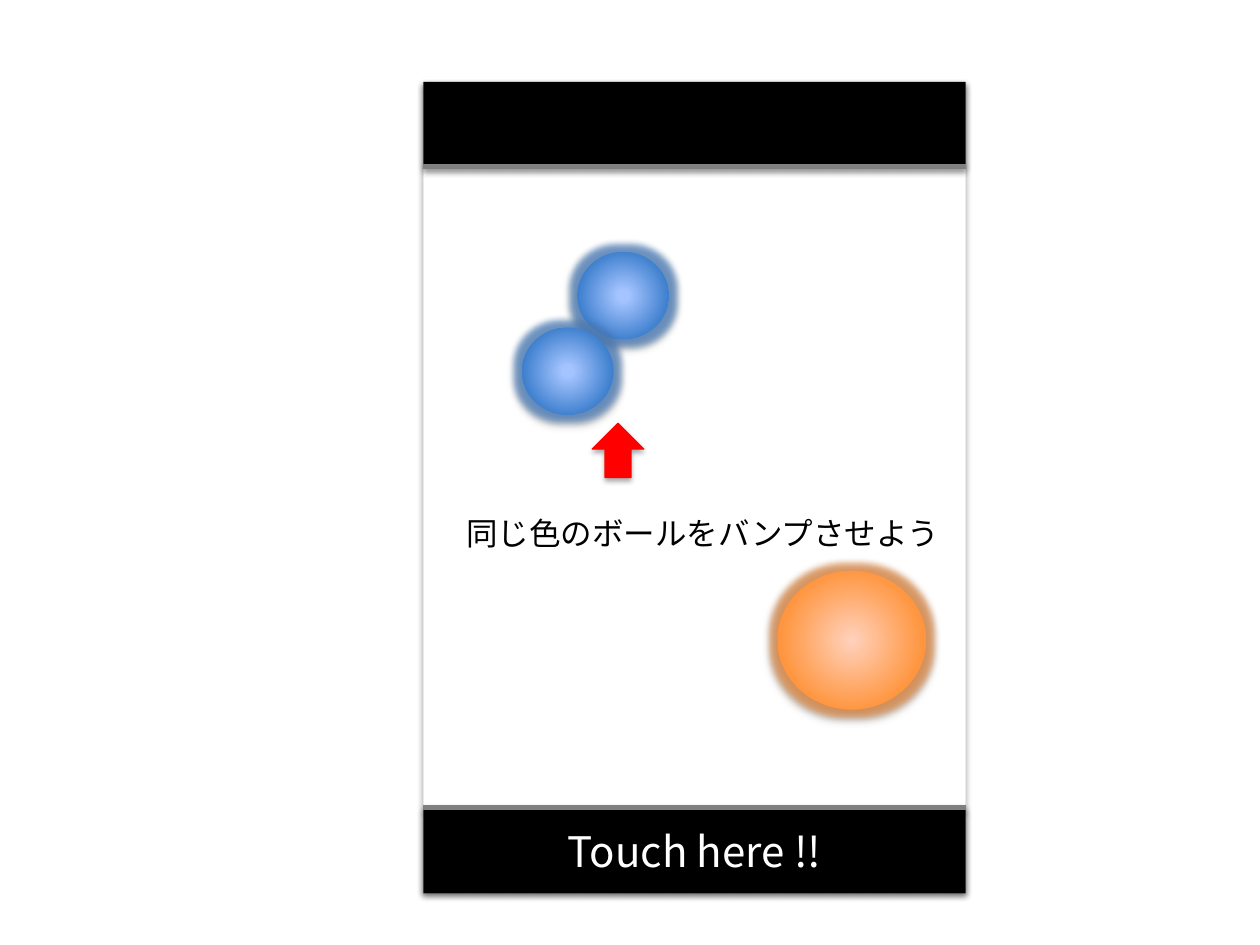
from dataclasses import dataclass
from typing import Any, Optional

from pptx import Presentation
from pptx.dml.color import RGBColor
from pptx.enum.shapes import MSO_CONNECTOR as Connector, MSO_SHAPE as Shape
from pptx.enum.text import MSO_ANCHOR as Anchor, MSO_AUTO_SIZE as AutoSize, PP_ALIGN as Align
from pptx.oxml import parse_xml
from pptx.oxml.ns import nsdecls, qn
from pptx.util import Pt

COLORS = {
    "white": "FFFFFF", "black": "000000", "gray": "808080", "red": "FF0000",
    "blue_center": "A4C4FF", "blue_edge": "3F80CE", "blue_glow": "4F81BD",
    "orange_center": "FFD2BD", "orange_edge": "FF953E", "orange_glow": "E08A45",
}
FONT = "Noto Sans CJK JP"
SCREEN_LEFT, SCREEN_TOP, SCREEN_WIDTH, SCREEN_HEIGHT = 242, 46.8, 309.8, 463.7
BAR_HEIGHT = 48.2
SCREEN_BOTTOM = SCREEN_TOP + SCREEN_HEIGHT


@dataclass
class Ball:
    """A glowing ball and its radial color stops."""
    left: float
    top: float
    width: float
    height: float
    hue: str
    center_stop: float


BALLS = [
    Ball(444.2, 326.2, 85, 79.2, "orange", 0),
    Ball(329.8, 144, 52.6, 49.9, "blue", 0.09),
    Ball(298.1, 187.2, 52.6, 49.9, "blue", 0.09),
]


def rgb(name: str) -> RGBColor:
    """Look up a named color."""
    return RGBColor.from_string(COLORS[name])


def add_effects(item: Any, glow: Optional[str] = None) -> None:
    """Give an item a soft drop shadow and, if asked, a glow."""
    halo = (f'<a:glow rad="{Pt(8)}"><a:srgbClr val="{COLORS[glow]}">'
            '<a:alpha val="75000"/></a:srgbClr></a:glow>') if glow else ""
    item._element.spPr.append(parse_xml(
        f'<a:effectLst {nsdecls("a")}>{halo}'
        f'<a:outerShdw blurRad="{Pt(3.15)}" dist="{Pt(1.81)}" dir="5400000" rotWithShape="0">'
        f'<a:srgbClr val="{COLORS["black"]}"><a:alpha val="35000"/></a:srgbClr>'
        '</a:outerShdw></a:effectLst>'))


def add_solid(shapes: Any, kind: Shape, left: float, top: float, width: float, height: float,
              color: str, outline: Optional[str] = None) -> Any:
    """Add a plainly filled shape with a shadow."""
    solid = shapes.add_shape(kind, Pt(left), Pt(top), Pt(width), Pt(height))
    solid.fill.solid()
    solid.fill.fore_color.rgb = rgb(color)
    if outline:
        solid.line.color.rgb = rgb(outline)
        solid.line.width = Pt(0.75)
    else:
        solid.line.fill.background()
    add_effects(solid)
    return solid


def add_divider(shapes: Any, y: float) -> None:
    """Add a gray rule across the phone screen."""
    divider = shapes.add_connector(Connector.STRAIGHT, Pt(SCREEN_LEFT), Pt(y),
                                   Pt(SCREEN_LEFT + SCREEN_WIDTH), Pt(y))
    divider.line.color.rgb = rgb("gray")
    divider.line.width = Pt(3)
    add_effects(divider)


def add_ball(shapes: Any, ball: Ball) -> None:
    """Add a ball with a radial gradient, a glow and a shadow."""
    disc = shapes.add_shape(Shape.OVAL, Pt(ball.left), Pt(ball.top), Pt(ball.width), Pt(ball.height))
    disc.fill.gradient()
    stops = zip(disc.fill.gradient_stops, ("center", "edge"), (ball.center_stop, 0.71))
    for stop, part, position in stops:
        stop.color.rgb = rgb(f"{ball.hue}_{part}")
        stop.position = position
    gradient = disc._element.spPr.find(qn("a:gradFill"))
    gradient.replace(gradient.find(qn("a:lin")), parse_xml(
        f'<a:path {nsdecls("a")} path="circle">'
        '<a:fillToRect l="50000" t="50000" r="50000" b="50000"/></a:path>'))
    disc.line.fill.background()
    add_effects(disc, glow=f"{ball.hue}_glow")


def write(holder: Any, text: str, *, size: float, color: str, align: Align = Align.LEFT,
          anchor: Anchor = Anchor.TOP, wrap: bool = True) -> None:
    """Write one formatted paragraph into a shape."""
    frame = holder.text_frame
    frame.word_wrap = wrap
    frame.vertical_anchor = anchor
    paragraph = frame.paragraphs[0]
    paragraph.alignment = align
    run = paragraph.add_run()
    run.text = text
    run.font.size = Pt(size)
    run.font.color.rgb = rgb(color)
    run.font.name = FONT
    run.font._element.append(parse_xml(f'<a:ea {nsdecls("a")} typeface="{FONT}"/>'))


def add_phone(shapes: Any) -> None:
    """Add the grouped phone screen with its two bars and rules."""
    phone = shapes.add_group_shape().shapes
    add_solid(phone, Shape.RECTANGLE, SCREEN_LEFT, SCREEN_TOP, SCREEN_WIDTH, SCREEN_HEIGHT, "white")
    footer, _header = [
        add_solid(phone, Shape.RECTANGLE, SCREEN_LEFT, top, SCREEN_WIDTH, BAR_HEIGHT, "black")
        for top in (SCREEN_BOTTOM - BAR_HEIGHT, SCREEN_TOP)
    ]
    write(footer, "Touch here !!", size=24, color="white", align=Align.CENTER, anchor=Anchor.MIDDLE)
    for y in (SCREEN_TOP + BAR_HEIGHT, SCREEN_BOTTOM - BAR_HEIGHT - 1):
        add_divider(phone, y)


def main() -> None:
    """Build and save the slide."""
    deck = Presentation()
    deck.slide_width, deck.slide_height = Pt(720), Pt(540)
    shapes = deck.slides.add_slide(deck.slide_layouts[6]).shapes
    add_phone(shapes)

    hint = shapes.add_textbox(Pt(259.2), Pt(290.2), Pt(287.3), Pt(29))
    write(hint, "同じ色のボールをバンプさせよう", size=18, color="black", wrap=False)
    hint.text_frame.auto_size = AutoSize.SHAPE_TO_FIT_TEXT

    arrow = add_solid(shapes, Shape.DOWN_ARROW, 338.4, 241.9, 29.5, 31, "red", outline="red")
    arrow._element.spPr.find(qn("a:xfrm")).set("flipV", "1")

    for ball in BALLS:
        add_ball(shapes, ball)
    deck.save("out.pptx")


if __name__ == "__main__":
    main()
